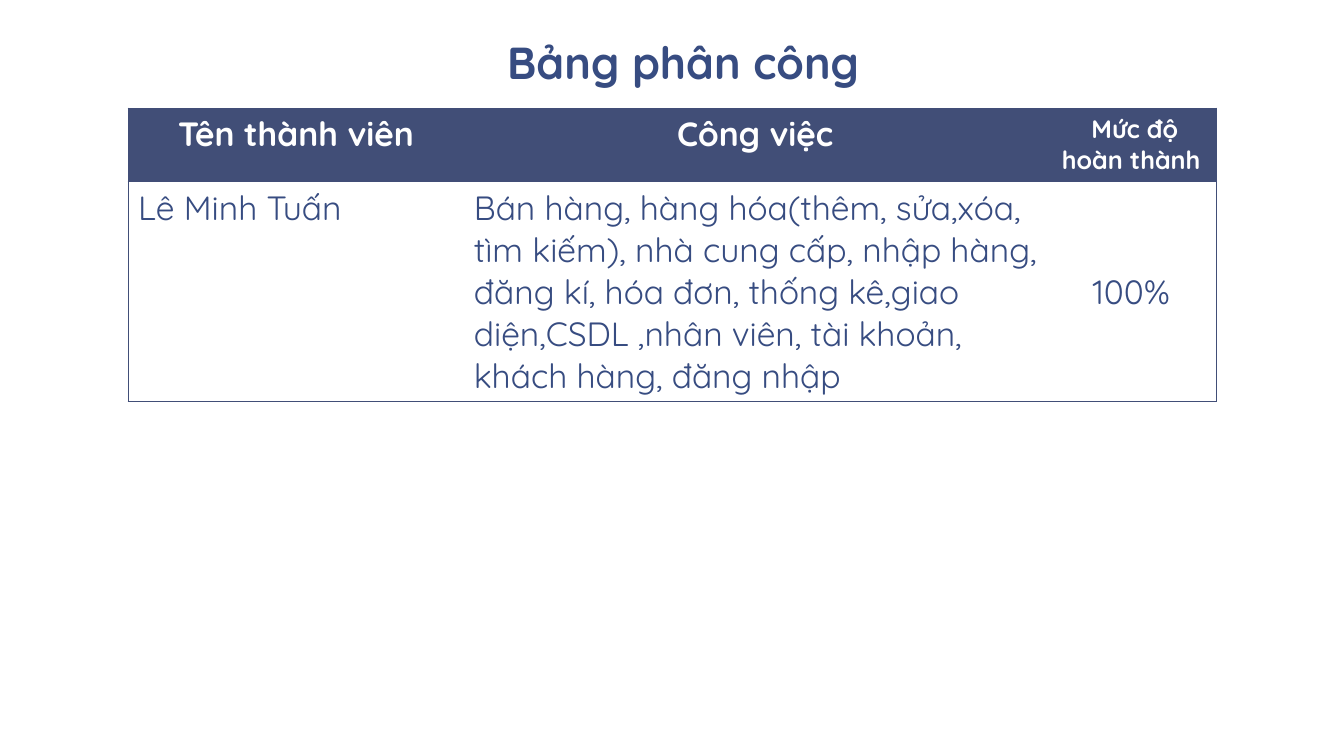
"""Build a slide with the task assignment table."""
import dataclasses

import lxml.etree
import pptx
import pptx.dml.color
import pptx.enum.text
import pptx.oxml.ns
import pptx.util

Inches = pptx.util.Inches
Pt = pptx.util.Pt
RGBColor = pptx.dml.color.RGBColor
ALIGN = pptx.enum.text.PP_ALIGN
ANCHOR = pptx.enum.text.MSO_ANCHOR
qn = pptx.oxml.ns.qn


@dataclasses.dataclass(frozen=True)
class Theme:
    font: str = "Quicksand"
    header: str = "414E77"
    ink: str = "374C81"
    white: str = "FFFFFF"
    title_size: int = 32
    text_size: int = 24
    small_size: int = 18
    border: float = 0.5


theme = Theme()


def style_text(frame, size, color, bold, align):
    """Format every run in a text frame."""
    for para in frame.paragraphs:
        para.alignment = align
        for span in para.runs:
            span.font.name = theme.font
            span.font.size = Pt(size)
            span.font.bold = bold
            span.font.color.rgb = RGBColor.from_string(color)


def set_borders(cell, visible_sides):
    """Draw the named sides of a cell and clear the others."""
    properties = cell._tc.get_or_add_tcPr()
    for side in "LRTB":
        line = lxml.etree.SubElement(properties, qn(f"a:ln{side}"), w=str(Pt(theme.border)))
        if side in visible_sides:
            fill = lxml.etree.SubElement(line, qn("a:solidFill"))
            lxml.etree.SubElement(fill, qn("a:srgbClr"), val=theme.header)
        else:
            lxml.etree.SubElement(line, qn("a:noFill"))


deck = pptx.Presentation()
deck.slide_width = Inches(13.33)
deck.slide_height = Inches(7.5)
page = deck.slides.add_slide(deck.slide_layouts[5])
page.background.fill.solid()
page.background.fill.fore_color.rgb = RGBColor.from_string(theme.white)

title = page.shapes.title
title.left, title.top = Inches(4.93), Inches(0.29)
title.width, title.height = Inches(4.25), Inches(0.64)
title.text_frame.text = "Bảng phân công"
title.text_frame.word_wrap = True
title.text_frame.auto_size = pptx.enum.text.MSO_AUTO_SIZE.NONE
title.text_frame.vertical_anchor = ANCHOR.TOP
style_text(title.text_frame, theme.title_size, theme.ink, True, ALIGN.LEFT)

column_widths = [3.33, 5.78, 1.68]
row_heights = [0.73, 2.18]
rows = [
    ["Tên thành viên", "Công việc", " Mức độ hoàn thành"],
    [
        "Lê Minh Tuấn",
        "Bán hàng, hàng hóa(thêm, sửa,xóa, tìm kiếm), nhà cung cấp, nhập hàng, "
        "đăng kí, hóa đơn, thống kê,giao diện,CSDL ,nhân viên, tài khoản, "
        "khách hàng, đăng nhập",
        "100%",
    ],
]
last_row, last_column = len(rows) - 1, len(column_widths) - 1

table = page.shapes.add_table(
    len(rows), len(column_widths), Inches(1.27), Inches(1.07),
    Inches(sum(column_widths)), Inches(sum(row_heights)),
).table
table.first_row = True
table.horz_banding = False
for column, width in zip(table.columns, column_widths):
    column.width = Inches(width)
for row, height in zip(table.rows, row_heights):
    row.height = Inches(height)

for row_index, texts in enumerate(rows):
    is_header = row_index == 0
    for column_index, text in enumerate(texts):
        is_last = column_index == last_column
        cell = table.cell(row_index, column_index)
        cell.text_frame.text = text
        sides = "T"
        if column_index == 0:
            sides += "L"
        if is_last:
            sides += "R"
        if row_index == last_row:
            sides += "B"
        set_borders(cell, sides)
        cell.fill.solid()
        cell.fill.fore_color.rgb = RGBColor.from_string(theme.header if is_header else theme.white)
        cell.vertical_anchor = ANCHOR.MIDDLE if is_last and not is_header else ANCHOR.TOP
        style_text(
            cell.text_frame,
            theme.small_size if is_header and is_last else theme.text_size,
            theme.white if is_header else theme.ink,
            is_header,
            ALIGN.CENTER if is_header or is_last else ALIGN.LEFT,
        )

deck.save("out.pptx")
